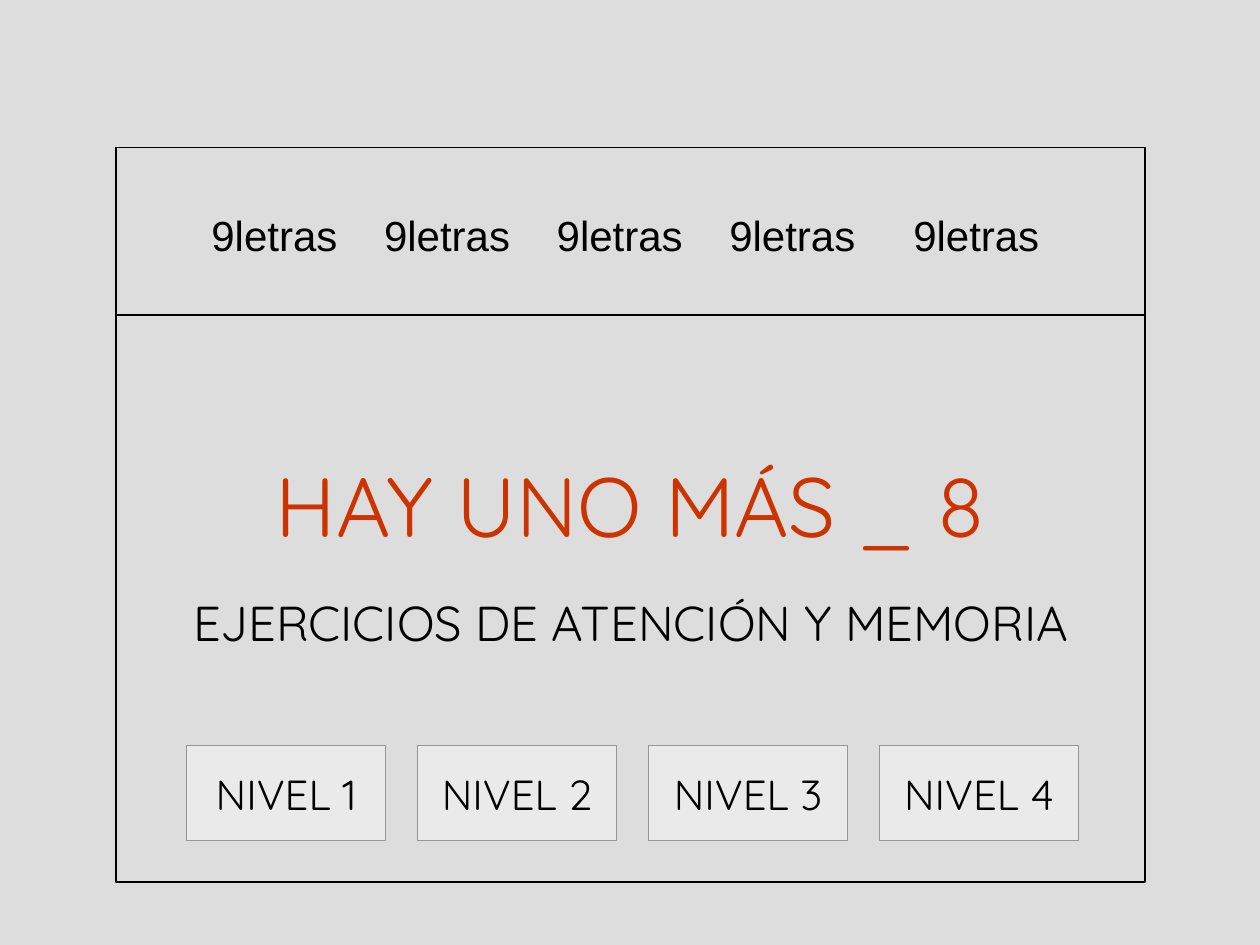
import pptx
import pptx.dml.color
import pptx.enum.shapes
import pptx.enum.text
import pptx.util
from lxml import etree

WIDE, HIGH = 10, 7.5
GREY, BLACK = "DDDDDD", "000000"
LEFT, SPAN = 0.92, 8.17
STEP = 1.37
inch = pptx.util.Inches
Align = pptx.enum.text.PP_ALIGN
Anchor = pptx.enum.text.MSO_ANCHOR


def paint(color, code):
    color.rgb = pptx.dml.color.RGBColor.from_string(code)


def add_box(slide, x, y, w, h, fill, edge, width):
    box = slide.shapes.add_shape(
        pptx.enum.shapes.MSO_SHAPE.RECTANGLE, inch(x), inch(y), inch(w), inch(h))
    box.shadow.inherit = False
    box.fill.solid()
    paint(box.fill.fore_color, fill)
    paint(box.line.color, edge)
    box.line.width = pptx.util.Pt(width)
    return box


def style(para, size, code=BLACK, face="Quicksand", align=Align.CENTER):
    para.alignment = align
    for run in para.runs:
        run.font.size = pptx.util.Pt(size)
        run.font.name = face
        paint(run.font.color, code)


def add_tabs(para, stops):
    """Give the paragraph left tab stops, in inches."""
    tag = pptx.oxml.ns.qn
    tabs = etree.SubElement(para._p.get_or_add_pPr(), tag("a:tabLst"))
    for stop in stops:
        etree.SubElement(tabs, tag("a:tab"), pos=str(inch(stop)), algn="l")


def add_head(slide):
    add_box(slide, LEFT, 1.17, SPAN, 1.75, GREY, BLACK, 1)


def add_body(slide):
    frame = add_box(slide, LEFT, 2.5, SPAN, 4.5, GREY, BLACK, 1).text_frame
    frame.word_wrap = False
    frame.vertical_anchor = Anchor.TOP
    frame.margin_top = inch(1.1)
    frame.text = "HAY UNO MÁS _ 8\nEJERCICIOS DE ATENCIÓN Y MEMORIA"
    title, topic = frame.paragraphs
    style(title, 48, "CC3300")
    style(topic, 28)
    topic.space_before = pptx.util.Pt(22)


def add_names(slide):
    """Write the row of names, the last one set a little further off."""
    box = slide.shapes.add_textbox(inch(1.58), inch(1.58), inch(6.83), inch(0.5))
    frame = box.text_frame
    frame.word_wrap = True
    frame.margin_top = inch(0.08)
    frame.text = "\t".join(["9letras"] * 5)
    para = frame.paragraphs[0]
    add_tabs(para, [STEP, 2 * STEP, 3 * STEP, 4 * STEP + 0.09])
    style(para, 24, face="Arial", align=Align.LEFT)


def add_levels(slide):
    for col in range(4):
        box = add_box(slide, 1.48 + col * 5.5 / 3, 5.92, 1.58, 0.75,
                      "EAEAEA", "969696", 0.5)
        frame = box.text_frame
        frame.word_wrap = False
        frame.vertical_anchor = Anchor.MIDDLE
        frame.text = f"NIVEL {col + 1}"
        style(frame.paragraphs[0], 24)


def main():
    deck = pptx.Presentation()
    deck.slide_width, deck.slide_height = inch(WIDE), inch(HIGH)
    slide = deck.slides.add_slide(deck.slide_layouts[6])
    slide.background.fill.solid()
    paint(slide.background.fill.fore_color, GREY)
    add_head(slide)
    add_body(slide)
    add_names(slide)
    add_levels(slide)
    deck.save("out.pptx")


if __name__ == "__main__":
    main()
